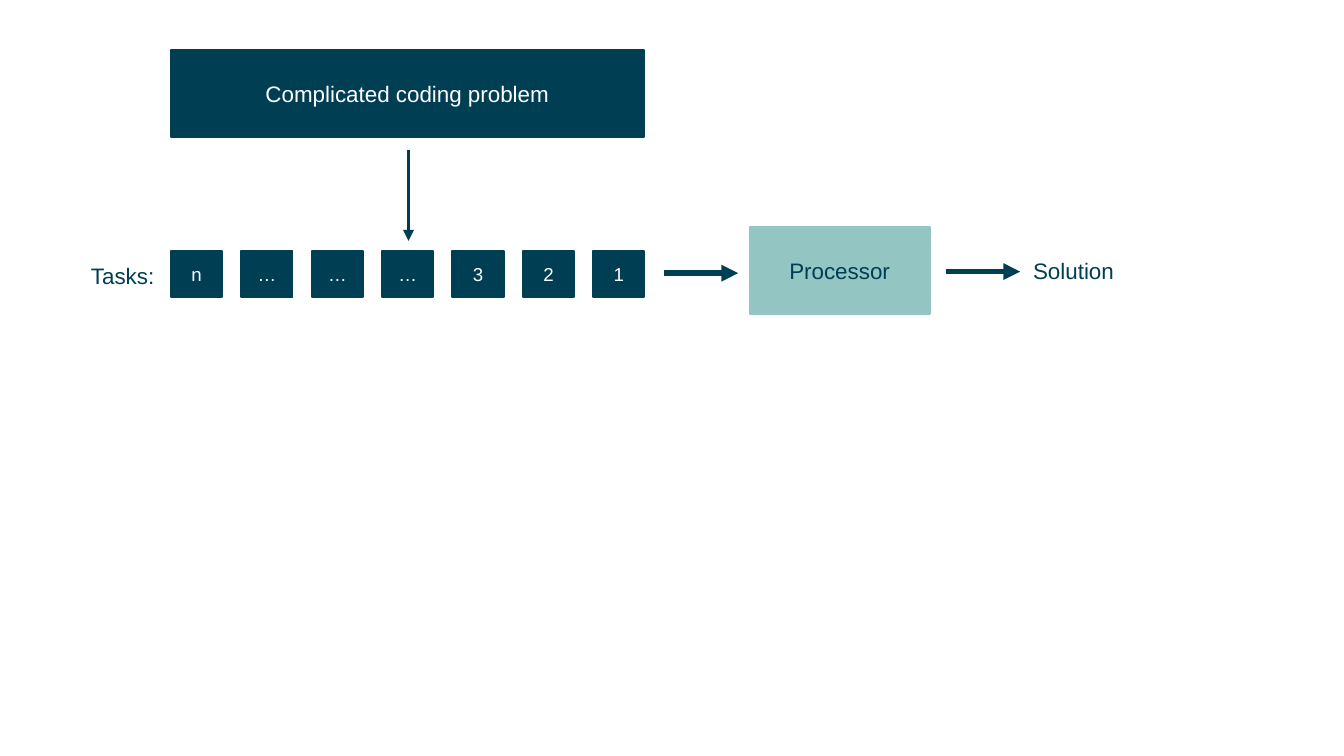
from lxml import etree
from pptx import Presentation
from pptx.dml.color import RGBColor
from pptx.enum import shapes, text
from pptx.oxml.ns import qn
from pptx.util import Cm, Pt

COLORS = {"navy": "003E54", "teal": "93C6C2", "white": "FFFFFF"}


def add_label(page, words, left, top, width, height, fill=None,
              color="navy", size=12, align=text.PP_ALIGN.CENTER):
    """Add one line of text, in a filled rectangle if a fill is given."""
    area = Cm(left), Cm(top), Cm(width), Cm(height)
    if fill:
        box = page.shapes.add_shape(shapes.MSO_SHAPE.RECTANGLE, *area)
        box.shadow.inherit = False
        box.fill.solid()
        box.fill.fore_color.rgb = RGBColor.from_string(COLORS[fill])
        box.line.color.rgb = RGBColor.from_string(COLORS[fill])
        box.line.width = Pt(1)
    else:
        box = page.shapes.add_textbox(*area)
    frame = box.text_frame
    frame.word_wrap = True
    frame.vertical_anchor = text.MSO_ANCHOR.MIDDLE
    para = frame.paragraphs[0]
    para.alignment = align
    span = para.add_run()
    span.text = words
    span.font.name = "Arial"
    span.font.size = Pt(size)
    span.font.color.rgb = RGBColor.from_string(COLORS[color])
    return box


def add_arrow(page, x1, y1, x2, y2, weight):
    arrow = page.shapes.add_connector(
        shapes.MSO_CONNECTOR.STRAIGHT, Cm(x1), Cm(y1), Cm(x2), Cm(y2))
    arrow.line.color.rgb = RGBColor.from_string(COLORS["navy"])
    arrow.line.width = Pt(weight)
    etree.SubElement(arrow.line._get_or_add_ln(), qn("a:tailEnd"), type="triangle")
    etree.SubElement(arrow._element.spPr, qn("a:effectLst"))


deck = Presentation()
deck.slide_width, deck.slide_height = Cm(25.4), Cm(14.28)
page = deck.slides.add_slide(deck.slide_layouts[6])

# The problem is split into a queue of tasks
queue_left, task_pitch = 3.23, 1.33
add_label(page, "Complicated coding problem", queue_left, 0.94, 8.94, 1.65,
          fill="navy", color="white")
add_arrow(page, 7.72, 2.84, 7.72, 4.55, 1.5)

for index, task in enumerate(["n", "…", "…", "…", "3", "2", "1"]):
    box = add_label(page, task, queue_left + index * task_pitch, 4.75, 0.97, 0.86,
                    fill="navy", color="white", size=10)
    box.text_frame.margin_left = box.text_frame.margin_right = 0

caption = add_label(page, "Tasks:", 1.47, 4.83, 1.73, 0.76,
                    align=text.PP_ALIGN.LEFT)
caption.text_frame.word_wrap = False
caption.text_frame.auto_size = text.MSO_AUTO_SIZE.SHAPE_TO_FIT_TEXT

# The processor works through the queue to reach the solution
add_arrow(page, 12.55, 5.16, 13.95, 5.16, 3)
add_label(page, "Processor", 14.17, 4.29, 3.4, 1.65, fill="teal")
add_label(page, "Solution", 18.59, 4.29, 3.4, 1.65)
add_arrow(page, 17.88, 5.13, 19.28, 5.13, 3)

deck.save("out.pptx")
